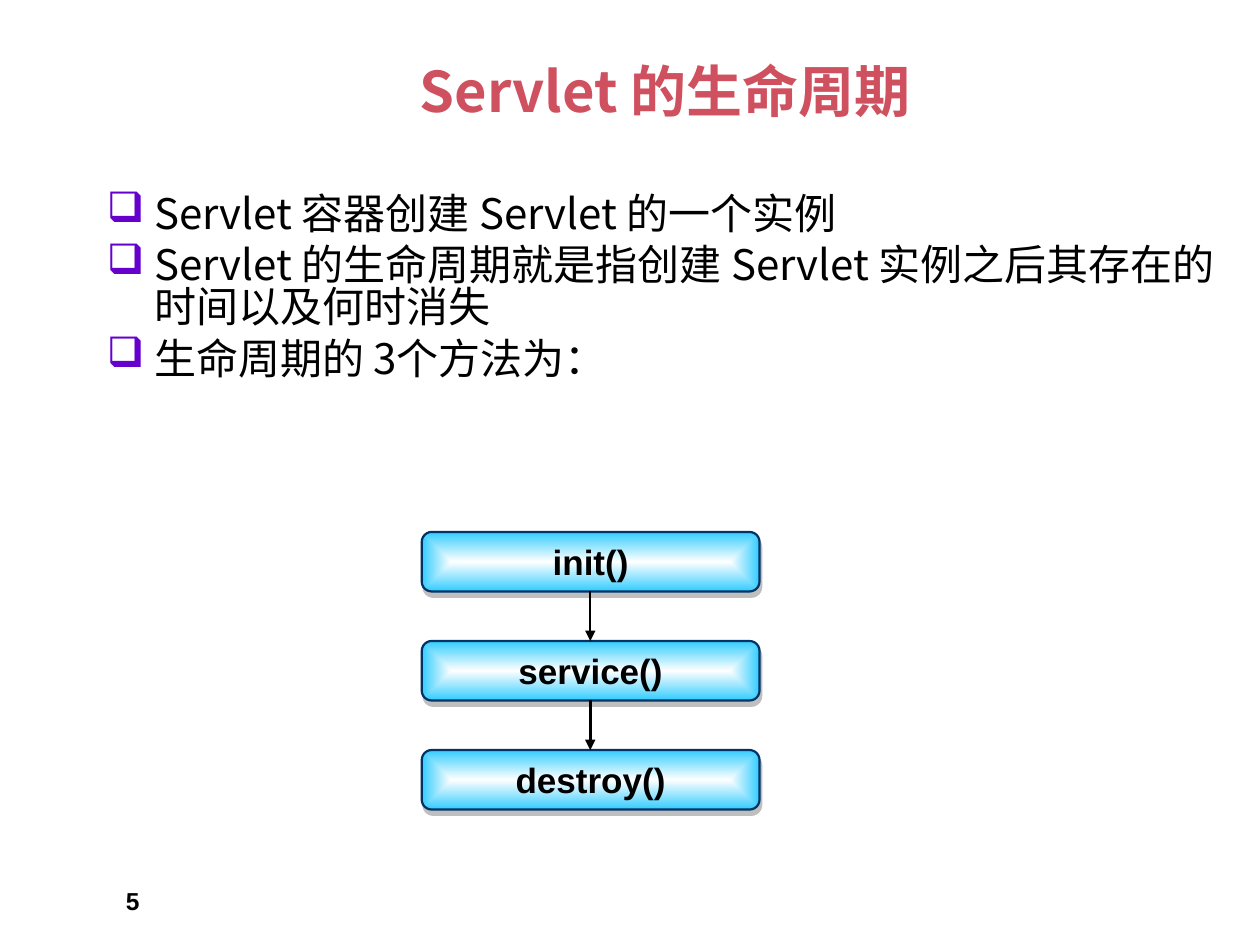
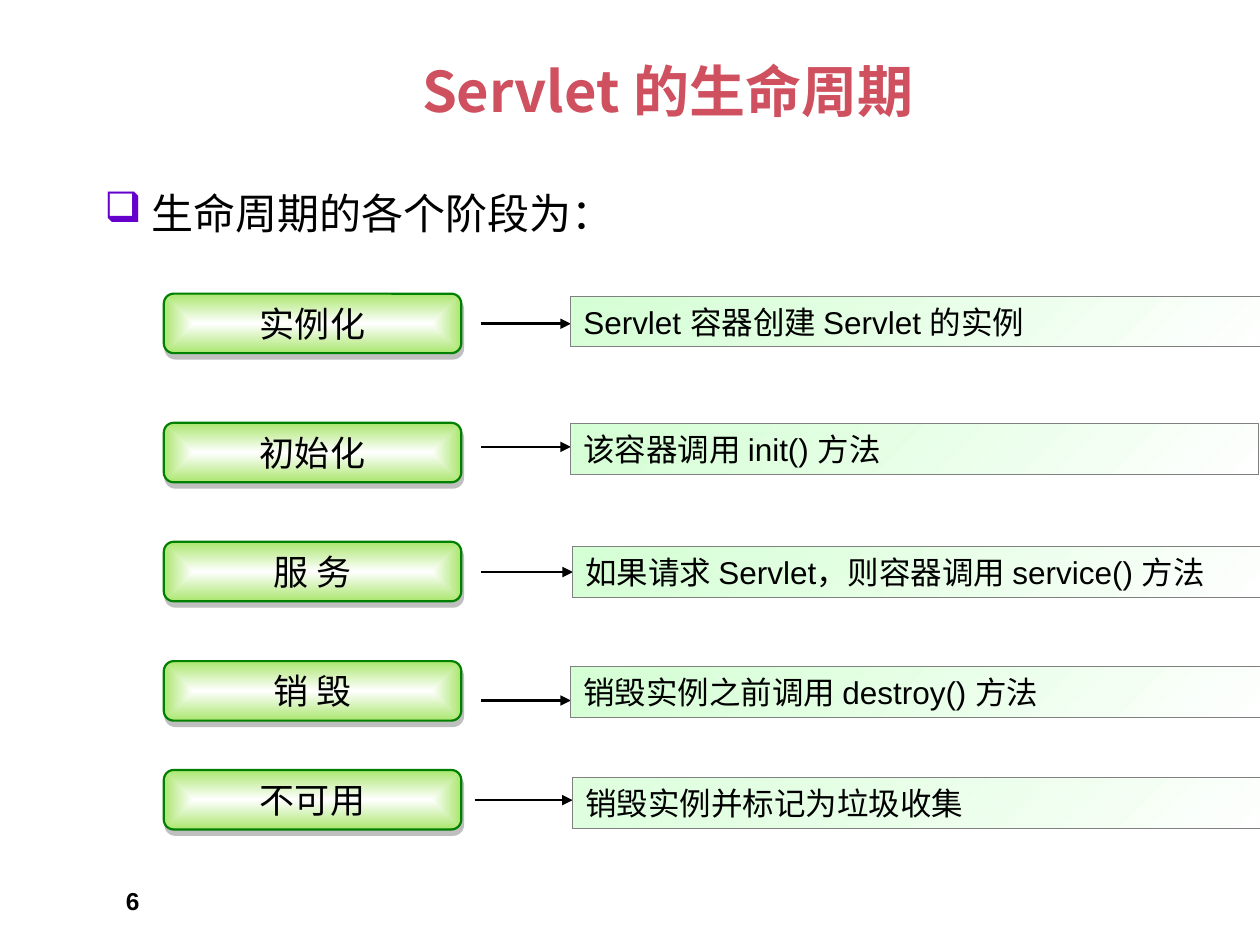
from lxml.etree import SubElement
from pptx import Presentation
from pptx.dml.color import RGBColor
from pptx.enum.shapes import MSO_CONNECTOR as Conn, MSO_SHAPE as Shape
from pptx.enum.text import MSO_ANCHOR as Anchor, PP_ALIGN as Align
from pptx.oxml.ns import qn
from pptx.util import Pt

CJK = "Noto Sans CJK SC"
TITLE = {"name": CJK, "size": Pt(32), "bold": True, "color": "CF505F"}
BODY = {"name": CJK, "size": Pt(24), "color": "000000"}
METHOD = {"name": "Arial", "size": Pt(20), "bold": True, "color": "000000"}
STAGE = {**METHOD, "bold": False}
NOTE = {**STAGE, "size": Pt(18)}
NUMBER = {**METHOD, "size": Pt(14)}
BLUE, GREEN = ("33CCFF", "003366"), ("AAE66E", "008000")


def rgb(value):
    """Turn a hex string into a colour."""
    return RGBColor.from_string(value)


def add(parent, tag, **attrs):
    """Append a drawing element with the given attributes."""
    return SubElement(parent, qn(tag), {k: str(v) for k, v in attrs.items()})


def add_color(parent, value, alpha=100):
    """Append a colour with an opacity in percent."""
    clr = add(parent, "a:srgbClr", val=value)
    if alpha < 100:
        add(clr, "a:alpha", val=alpha * 1000)


class Deck:
    """Hold the presentation, its style and the current slide."""

    def __init__(self):
        """Start a 10 by 7.5 inch presentation."""
        self.prs = Presentation()
        self.prs.slide_width, self.prs.slide_height = Pt(720), Pt(540)
        self.s = None

    def slide(self, number, title, left, width):
        """Add a slide with its title and number."""
        self.s = self.prs.slides.add_slide(self.prs.slide_layouts[6])
        tf = self.box(left, 20.2, width, 62.6, Anchor.MIDDLE)
        self.put(tf.paragraphs[0], title, TITLE, Align.CENTER)
        tf = self.box(64.8, 502.6, 167.8, 22.3)
        self.put(tf.paragraphs[0], str(number), NUMBER)

    def box(self, x, y, w, h, anchor=Anchor.TOP):
        """Add a wrapping text box and return its text frame."""
        tf = self.s.shapes.add_textbox(Pt(x), Pt(y), Pt(w), Pt(h)).text_frame
        tf.word_wrap, tf.vertical_anchor = True, anchor
        return tf

    def put(self, p, text, style, align=Align.LEFT):
        """Put one formatted run into a paragraph."""
        p.alignment = align
        r = p.add_run()
        r.text = text
        for key, value in style.items():
            if key == "color":
                r.font.color.rgb = rgb(value)
            else:
                setattr(r.font, key, value)
        pr = r._r.get_or_add_rPr()
        add(pr, "a:ea", typeface=CJK)

    def bullets(self, x, y, w, h, items):
        """Add a list with hollow square bullets."""
        tf = self.box(x, y, w, h)
        tf.margin_top = Pt(6.3)
        for i, item in enumerate(items):
            p = tf.add_paragraph() if i else tf.paragraphs[0]
            p.line_spacing = 0.82
            if i:
                p.space_before = Pt(6)
            pr = p._p.get_or_add_pPr()
            pr.set("marL", str(Pt(27)))
            pr.set("indent", str(-Pt(27)))
            add_color(add(pr, "a:buClr"), "6600CC")
            add(pr, "a:buChar", char="❑")
            self.put(p, item, BODY)

    def shape(self, kind, rect, line, weight, stops):
        """Add a shape with a gradient and return it with that gradient."""
        sp = self.s.shapes.add_shape(kind, *map(Pt, rect))
        sp.shadow.inherit = False
        sp.line.color.rgb, sp.line.width = rgb(line), Pt(weight)
        sp.fill.gradient()
        grad = sp.element.spPr.find(qn("a:gradFill"))
        for child in list(grad):
            grad.remove(child)
        gs_list = add(grad, "a:gsLst")
        for pos, stop in zip((0, 100000), stops):
            add_color(add(gs_list, "a:gs", pos=pos), *stop)
        sp.text_frame.vertical_anchor = Anchor.MIDDLE
        return sp, grad

    def button(self, x, y, w, text, colors, style):
        """Add a shaded rounded button with a shadow."""
        edge, line = colors
        sp, grad = self.shape(Shape.FLOWCHART_ALTERNATE_PROCESS, (x, y, w, 34),
                              line, 1.25, [("FFFFFF",), (edge,)])
        sides = dict.fromkeys("ltrb", 50000)
        add(add(grad, "a:path", **{"path": "rect"}), "a:fillToRect", **sides)
        effects = sp.element.spPr.find(qn("a:effectLst"))
        shadow = add(effects, "a:outerShdw", dist=Pt(3.2), dir=72 * 60000,
                     algn="ctr", rotWithShape=0)
        add_color(shadow, "808080", 50)
        sp.text_frame.word_wrap = False
        self.put(sp.text_frame.paragraphs[0], text, style, Align.CENTER)

    def note(self, x, y, w, text, alpha):
        """Add a pale description bar."""
        sp, grad = self.shape(Shape.RECTANGLE, (x, y, w, 29), "808080", 0.5,
                              [("CCFFCC", alpha), ("FFFFFF",)])
        add(grad, "a:lin", ang=45 * 60000, scaled=1)
        sp.text_frame.word_wrap = True
        self.put(sp.text_frame.paragraphs[0], text, NOTE)

    def arrow(self, x1, y1, x2, y2, weight=1.5):
        """Add a black arrow."""
        c = self.s.shapes.add_connector(Conn.STRAIGHT, *map(Pt, (x1, y1, x2, y2)))
        c.line.color.rgb, c.line.width = rgb("000000"), Pt(weight)
        props = c._element.spPr
        add(props.find(qn("a:ln")), "a:tailEnd", type="triangle")
        add(props, "a:effectLst")


def methods_slide(deck):
    """Build the slide with the three life cycle methods."""
    deck.slide(5, "Servlet 的生命周期 ", 59.8, 648)
    deck.bullets(54, 105.8, 648, 380, [
        "Servlet 容器创建 Servlet 的一个实例",
        "Servlet 的生命周期就是指创建 Servlet 实例之后其存在的时间以及何时消失",
        "生命周期的 3个方法为：",
    ])
    top, pitch = 304, 62.3
    for i, name in enumerate(("init()", "service()", "destroy()")):
        y = top + i * pitch
        deck.button(241, y, 193, name, BLUE, METHOD)
        if i:
            deck.arrow(337.3, y - pitch + 34, 337.3, y, 1 + i / 4)


def stages_slide(deck):
    """Build the slide with the life cycle stages."""
    deck.slide(6, "Servlet 的生命周期 ", 64.8, 640.8)
    deck.bullets(52.6, 105.8, 648, 351.4, ["生命周期的各个阶段为："])
    stages = [
        ("实例化", 167.8, 275, 185, 326.2, 169.2, 394.6, 81,
         "Servlet 容器创建 Servlet 的实例"),
        ("初始化", 241.6, 275, 255.4, 326.2, 241.9, 393.1, 81,
         "该容器调用 init() 方法"),
        ("服 务", 309.6, 275, 326.9, 327.4, 312.2, 393.8, 81,
         "如果请求 Servlet，则容器调用 service() 方法"),
        ("销 毁", 377.8, 275, 400.3, 326.2, 380.9, 396.7, 81,
         "销毁实例之前调用 destroy() 方法"),
        ("不可用", 440, 271.4, 457.2, 327.2, 444.2, 396.7, 62,
         "销毁实例并标记为垃圾收集"),
    ]
    for stage, y, start, arrow_y, x, note_y, w, alpha, text in stages:
        deck.button(93.6, y, 170, stage, GREEN, STAGE)
        deck.arrow(start, arrow_y, x, arrow_y)
        deck.note(x, note_y, w, text, alpha)


def main():
    """Build and save the presentation."""
    deck = Deck()
    methods_slide(deck)
    stages_slide(deck)
    deck.prs.save("out.pptx")


if __name__ == "__main__":
    main()
